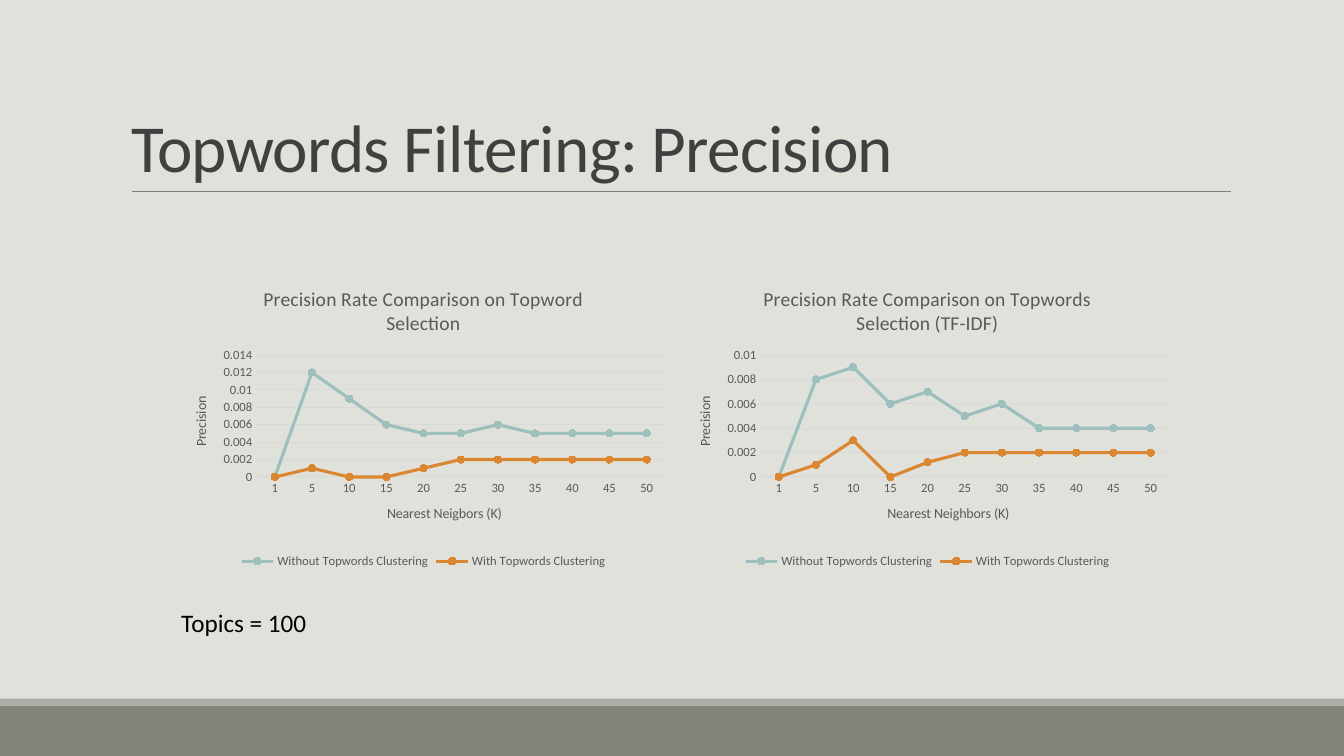
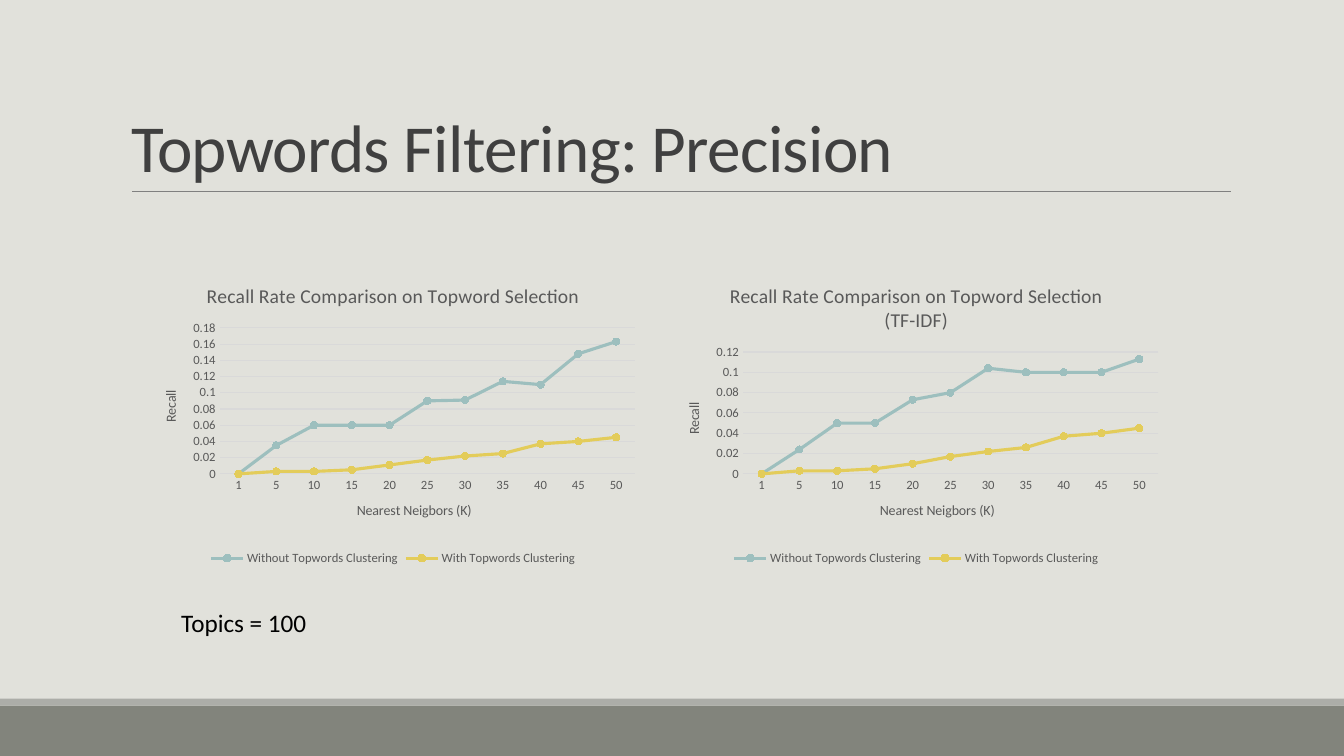
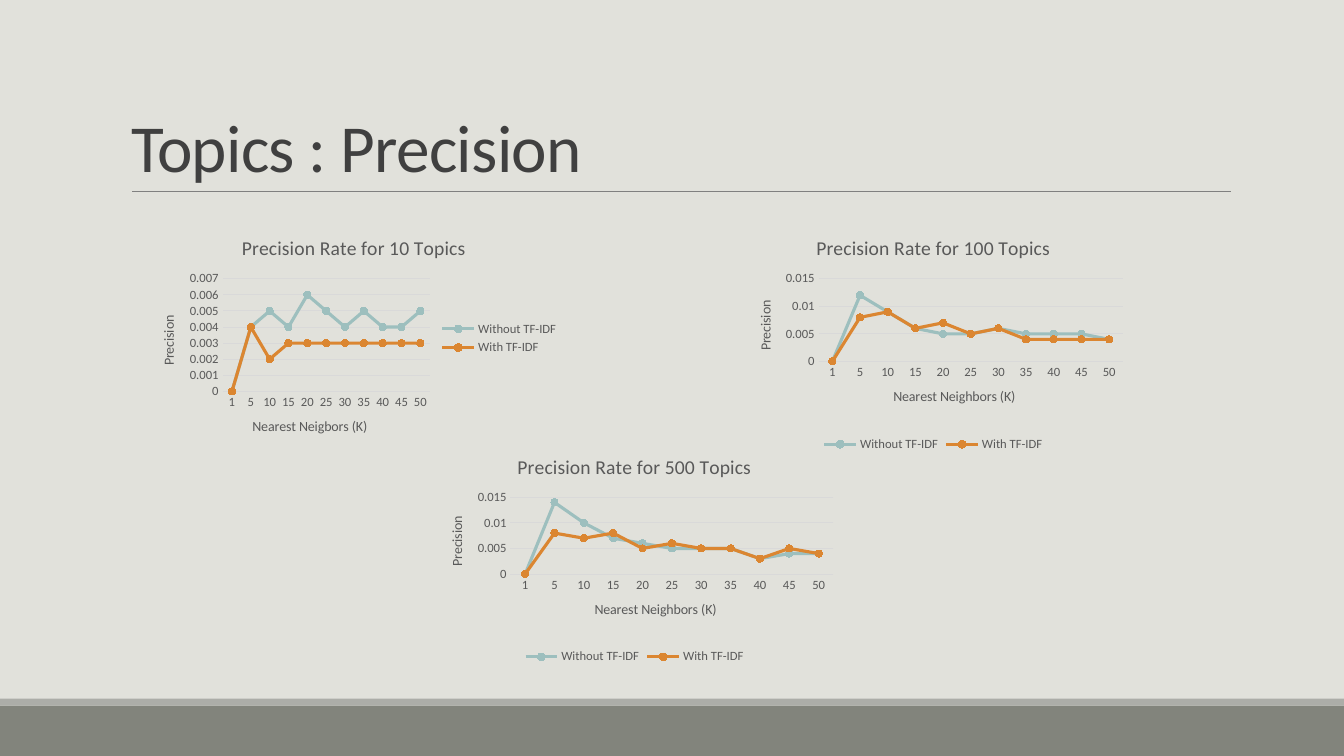
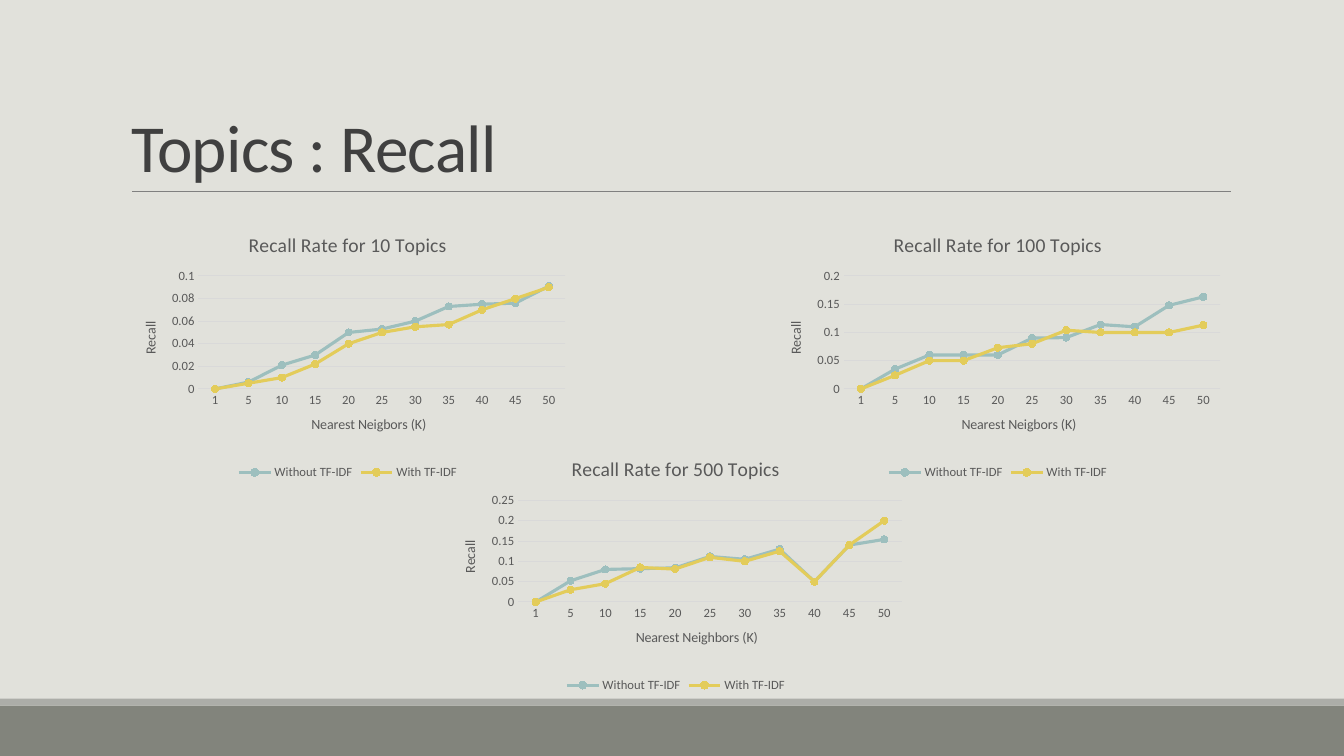
from pptx import Presentation
from pptx.chart.data import CategoryChartData
from pptx.dml.color import RGBColor
from pptx.enum.chart import XL_CHART_TYPE as CHART, XL_LEGEND_POSITION as LEGEND
from pptx.enum.chart import XL_MARKER_STYLE as MARKER, XL_TICK_MARK as TICK
from pptx.enum.shapes import MSO_CONNECTOR as CONNECTOR, MSO_SHAPE as SHAPE
from pptx.enum.text import MSO_ANCHOR as ANCHOR, MSO_AUTO_SIZE as AUTO
from pptx.oxml.ns import qn
from pptx.util import Pt

# Shared style
FONT = "Calibri"
BACKGROUND, BAND, BAND_EDGE, RULE = "E1E1DB", "82847C", "ACADA8", "808080"
TITLE, BLACK, CHART_TEXT, GRID = "404040", "000000", "595959", "D9D9D9"
TEAL, ORANGE, YELLOW = "9DBFBE", "DB8631", "E3CC5A"

# Chart wording and data
NEIGHBORS = ["1", "5", "10", "15", "20", "25", "30", "35", "40", "45", "50"]
X_TITLE, X_TITLE_SHORT = "Nearest Neighbors (K)", "Nearest Neigbors (K)"
CLUSTERING = ("Without Topwords Clustering", "With Topwords Clustering")
TF_IDF = ("Without TF-IDF", "With TF-IDF")

PRECISION_100 = [0, .012, .009, .006, .005, .005, .006, .005, .005, .005, .005]
PRECISION_100_TF = [0, .008, .009, .006, .007, .005, .006, .004, .004, .004, .004]
RECALL_100 = [0, .035, .06, .06, .06, .09, .091, .114, .11, .148, .163]
RECALL_100_TF = [0, .024, .05, .05, .073, .08, .104, .1, .1, .1, .113]

# Each chart: title, x-axis title, box, values without, values with, legend place
FILTER_PRECISION = [
    ("Precision Rate Comparison on Topwords Selection (TF-IDF)", X_TITLE,
     (482.4, 193, 360, 216), PRECISION_100_TF,
     [0, .001, .003, 0, .0012, .002, .002, .002, .002, .002, .002], LEGEND.BOTTOM),
    ("Precision Rate Comparison on Topword Selection", X_TITLE_SHORT,
     (122.4, 193, 360, 216), PRECISION_100,
     [0, .001, 0, 0, .001, .002, .002, .002, .002, .002, .002], LEGEND.BOTTOM),
]
FILTER_RECALL = [
    ("Recall Rate Comparison on Topword Selection (TF-IDF)", X_TITLE_SHORT,
     (474.5, 190.8, 360, 216), RECALL_100_TF,
     [0, .003, .003, .005, .01, .017, .022, .026, .037, .04, .045], LEGEND.BOTTOM),
    ("Recall Rate Comparison on Topword Selection", X_TITLE_SHORT,
     (100.8, 190.8, 360, 216), RECALL_100,
     [0, .003, .003, .005, .011, .017, .022, .025, .037, .04, .045], LEGEND.BOTTOM),
]
TOPICS_PRECISION = [
    ("Precision Rate for 10 Topics", X_TITLE_SHORT, (99.4, 157.7, 306.7, 167.8),
     [0, .004, .005, .004, .006, .005, .004, .005, .004, .004, .005],
     [0, .004, .002] + [.003] * 8, LEGEND.RIGHT),
    ("Precision Rate for 100 Topics", X_TITLE, (525.6, 157.7, 282.2, 167.8),
     PRECISION_100[:-1] + [.004], PRECISION_100_TF, LEGEND.BOTTOM),
    ("Precision Rate for 500 Topics", X_TITLE, (305.3, 313.9, 295.9, 163.4),
     [0, .014, .01, .007, .006, .005, .005, .005, .003, .004, .004],
     [0, .008, .007, .008, .005, .006, .005, .005, .003, .005, .004], LEGEND.BOTTOM),
]
TOPICS_RECALL = [
    ("Recall Rate for 10 Topics", X_TITLE_SHORT, (86.4, 154.8, 324, 190.8),
     [0, .006, .021, .03, .05, .053, .06, .073, .075, .076, .091],
     [0, .005, .01, .022, .04, .05, .055, .057, .07, .08, .09], LEGEND.BOTTOM),
    ("Recall Rate for 100 Topics", X_TITLE_SHORT, (547.2, 154.8, 331.2, 190.8),
     RECALL_100, RECALL_100_TF, LEGEND.BOTTOM),
    ("Recall Rate for 500 Topics", X_TITLE, (314.6, 315.4, 336.2, 182.2),
     [0, .052, .08, .082, .084, .112, .105, .13, .05, .14, .154],
     [0, .03, .045, .085, .081, .11, .1, .125, .05, .14, .2], LEGEND.BOTTOM),
]

# Slides: title, measure, series names, second colour, charts, note
SLIDES = [
    ("Topwords Filtering: Precision", "Precision", CLUSTERING, ORANGE,
     FILTER_PRECISION, "Topics = 100"),
    ("Topwords Filtering: Precision", "Recall", CLUSTERING, YELLOW,
     FILTER_RECALL, "Topics = 100"),
    ("Topics : Precision", "Precision", TF_IDF, ORANGE, TOPICS_PRECISION, None),
    ("Topics : Recall", "Recall", TF_IDF, YELLOW, TOPICS_RECALL, None),
]


def rgb(color):
    return RGBColor.from_string(color)


def points(*lengths):
    return [Pt(n) for n in lengths]


def style_font(font, size, color):
    font.name, font.size, font.bold = FONT, Pt(size), False
    font.color.rgb = rgb(color)


def add_run(p, text, size, color):
    r = p.add_run()
    r.text = text
    style_font(r.font, size, color)
    return r


def style_line(line, color, width):
    line.color.rgb = rgb(color)
    line.width = Pt(width)


# Background, bands and rule, kept on the layout
def add_band(s, top, height, color):
    sp = s.shapes.add_shape(SHAPE.RECTANGLE, *points(0, top, 960, height))
    sp.shadow.inherit = False
    sp.fill.solid()
    sp.fill.fore_color.rgb = rgb(color)
    sp.line.fill.background()
    return sp


def add_rule(s):
    line = s.shapes.add_connector(CONNECTOR.STRAIGHT, *points(94.5, 136.8, 879, 136.8))
    style_line(line.line, RULE, 0.5)
    sp_pr = line.element.spPr
    sp_pr.append(sp_pr.makeelement(qn("a:effectLst"), {}))
    return line


def style_layout(layout, s):
    """Draw the shared parts on a slide and move them to its layout."""
    layout.background.fill.solid()
    layout.background.fill.fore_color.rgb = rgb(BACKGROUND)
    for sp in (add_band(s, 504, 36, BAND), add_band(s, 499, 5, BAND_EDGE), add_rule(s)):
        layout.shapes.element.append(sp.element)


# Text
def set_title(s, text):
    sp = s.shapes.title
    sp.left, sp.top, sp.width, sp.height = points(86.4, 22.5, 792, 114.3)
    tf = sp.text_frame
    tf.auto_size, tf.vertical_anchor = AUTO.NONE, ANCHOR.BOTTOM
    p = tf.paragraphs[0]
    p.alignment, p.line_spacing = 1, 0.85
    r = add_run(p, text, 48, TITLE)
    r.font._element.set("spc", "-50")


def add_note(s, text):
    tf = s.shapes.add_textbox(*points(122.4, 430.5, 132.5, 29)).text_frame
    tf.word_wrap = True
    tf.auto_size = AUTO.SHAPE_TO_FIT_TEXT
    add_run(tf.paragraphs[0], text, 18, BLACK)


# Charts
def style_axis(axis, title, line_format):
    add_run(axis.axis_title.text_frame.paragraphs[0], title, 10, CHART_TEXT)
    axis.major_tick_mark = axis.minor_tick_mark = TICK.NONE
    style_font(axis.tick_labels.font, 9, CHART_TEXT)
    style_line(line_format, GRID, 0.75)


def style_series(series, color):
    series.smooth = False
    style_line(series.format.line, color, 2.25)
    marker = series.marker
    marker.style, marker.size = MARKER.CIRCLE, 5
    marker.format.fill.solid()
    marker.format.fill.fore_color.rgb = rgb(color)
    style_line(marker.format.line, color, 0.75)


def add_line_chart(s, title, x_title, y_title, box, series, legend_place):
    data = CategoryChartData()
    data.categories = NEIGHBORS
    for name, values, _ in series:
        data.add_series(name, values)
    chart = s.shapes.add_chart(CHART.LINE_MARKERS, *points(*box), data).chart
    style_font(chart.font, 10, BLACK)
    add_run(chart.chart_title.text_frame.paragraphs[0], title, 14, CHART_TEXT)
    chart.chart_title.include_in_layout = False

    x_axis, y_axis = chart.category_axis, chart.value_axis
    style_axis(x_axis, x_title, x_axis.format.line)
    style_axis(y_axis, y_title, y_axis.major_gridlines.format.line)
    y_axis.format.line.fill.background()

    chart.has_legend = True
    chart.legend.position = legend_place
    chart.legend.include_in_layout = False
    style_font(chart.legend.font, 9, CHART_TEXT)

    plot = chart.plots[0]
    plot.vary_by_categories = False
    for drawn, (_, _, color) in zip(plot.series, series):
        style_series(drawn, color)


def main():
    prs = Presentation()
    prs.slide_width, prs.slide_height = points(960, 540)
    layout = prs.slide_layouts[5]
    for title, measure, names, color, charts, note in SLIDES:
        s = prs.slides.add_slide(layout)
        set_title(s, title)
        for chart_title, x_title, box, without, with_it, place in charts:
            series = list(zip(names, (without, with_it), (TEAL, color)))
            add_line_chart(s, chart_title, x_title, measure, box, series, place)
        if note:
            add_note(s, note)
    style_layout(layout, prs.slides[0])
    prs.save("out.pptx")


if __name__ == "__main__":
    main()
